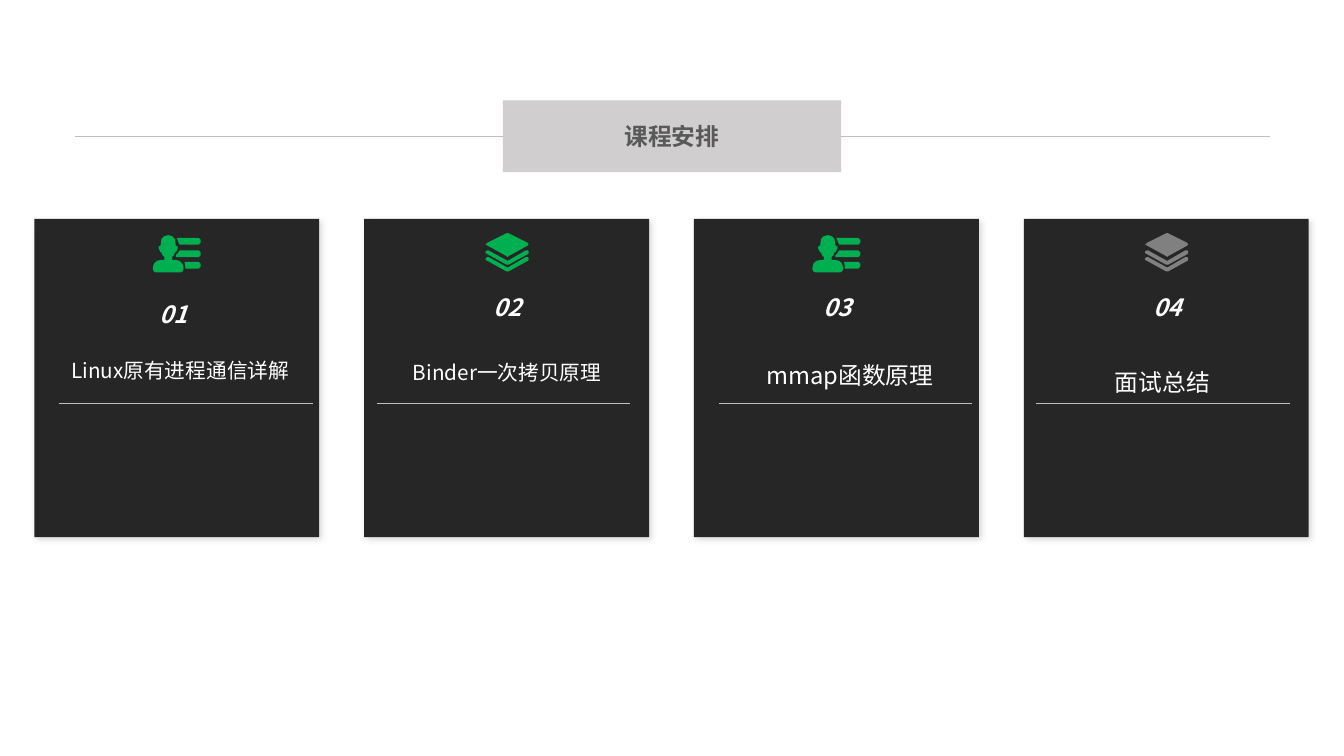
from dataclasses import dataclass

from lxml import etree
from pptx import Presentation
from pptx.dml.color import RGBColor
from pptx.enum import shapes, text
from pptx.oxml.ns import qn
from pptx.util import Inches, Pt


@dataclass(frozen=True)
class Theme:
    font: str = "Noto Sans CJK SC"
    banner: str = "D0CECE"
    heading: str = "595959"
    card: str = "262626"
    rule: str = "BFBFBF"
    white: str = "FFFFFF"
    green: str = "00B050"
    grey: str = "808080"
    large: float = 17.9
    medium: float = 15.6
    hairline: float = 0.25


THEME = Theme()
HEADING = "课程安排"

# Lessons: icon, icon colour, rule offset, number offset and top, topic, topic size, topic box
LESSONS = [
    ("person", THEME.green, 0.26, (0.43, 3.03),
     "Linux原有进程通信详解", THEME.medium, (0.49, 3.65, 2.79, 0.44)),
    ("layers", THEME.green, 0.13, (0.47, 2.96),
     "Binder一次拷贝原理", THEME.medium, (3.91, 3.67, 2.79, 0.44)),
    ("person", THEME.green, 0.26, (0.47, 2.96),
     "mmap函数原理", THEME.large, (7.3, 3.7, 3.18, 0.44)),
    ("layers", THEME.grey, 0.13, (0.47, 2.96),
     "面试总结", THEME.large, (10.57, 3.56, 3.18, 0.88)),
]
CARD_LEFT, CARD_TOP, CARD_WIDTH, CARD_HEIGHT, CARD_PITCH = 0.36, 2.29, 2.98, 3.33, 3.45
RULE_TOP, RULE_WIDTH = 4.22, 2.65


def mirrored(right_half, axis):
    """Complete an outline that is symmetric about a vertical axis."""
    return right_half + [(2 * axis - x, y) for x, y in reversed(right_half)]


def list_bar(top, left_edge):
    """Bar with a rounded right end; left_edge runs from its bottom up."""
    right_end = [(48, 0), (49.4, 0.6), (50, 2), (50, 5), (49.4, 6.4), (48, 7)]
    return [(x, top + y) for x, y in right_end] + left_edge


def chevron(top):
    half = [(22.75, 11), (42.5, 0), (44, 0.2), (45, 1.2), (45, 2.7), (44, 4),
            (24, 14.6), (22.75, 15)]
    return mirrored([(x, top + y) for x, y in half], 22.75)


# Icon outlines are in hundredths of an inch
PERSON = mirrored(
    [(16, 0), (20, 1), (23, 4.5), (24, 11), (25.5, 11.5), (26, 14), (25.3, 16.5),
     (24, 18), (23, 18.5), (22, 21), (20, 23), (20, 24), (20.5, 25.5), (22, 26),
     (24, 26), (28, 27), (31, 30), (32, 34), (32, 36), (31, 38), (29, 39)], 16)
TOP_LAYER = mirrored(
    [(22.75, 0), (24, 0.4), (44, 10), (45, 11.5), (44, 13), (24, 24), (22.75, 25)], 22.75)
ICONS = {
    "person": ((1.24, 2.46), [
        PERSON,
        list_bar(3, [(28, 10), (27, 8.5), (25, 3)]),
        list_bar(16, [(24, 23), (24, 21), (26.5, 19), (28, 16)]),
        list_bar(28, [(34, 35), (34, 33), (33, 28)]),
    ]),
    "layers": ((1.27, 2.44), [TOP_LAYER, chevron(18), chevron(25)]),
}


def paint(shape, colour):
    shape.shadow.inherit = False
    shape.fill.solid()
    shape.fill.fore_color.rgb = RGBColor.from_string(colour)
    shape.line.fill.background()


def add_panel(page, box, colour):
    panel = page.shapes.add_shape(shapes.MSO_SHAPE.RECTANGLE, *map(Inches, box))
    paint(panel, colour)
    return panel


def cast_shadow(shape):
    effects = shape._element.spPr.find(qn("a:effectLst"))
    shadow = etree.SubElement(effects, qn("a:outerShdw"), blurRad=str(Pt(5)),
                              dist=str(Pt(2)), dir=str(45 * 60000), rotWithShape="0")
    colour = etree.SubElement(shadow, qn("a:srgbClr"), val="000000")
    etree.SubElement(colour, qn("a:alpha"), val="15000")


def add_rule(page, left, top, width):
    rule = page.shapes.add_connector(
        shapes.MSO_CONNECTOR.STRAIGHT,
        *map(Inches, (left, top, left + width, top)))
    rule.line.color.rgb = RGBColor.from_string(THEME.rule)
    rule.line.width = Pt(THEME.hairline)
    etree.SubElement(rule._element.spPr, qn("a:effectLst"))


def write(shape, words, size, colour, **style):
    frame = shape.text_frame
    layout = {"word_wrap": True, "vertical_anchor": text.MSO_ANCHOR.MIDDLE,
              "margin_left": Inches(0.06), "margin_right": Inches(0.06),
              "margin_top": Inches(0.03), "margin_bottom": Inches(0.03)}
    for name, value in layout.items():
        setattr(frame, name, value)
    para = frame.paragraphs[0]
    para.alignment = text.PP_ALIGN.CENTER
    span = para.add_run()
    span.text = words
    for name, value in {"name": THEME.font, "size": Pt(size), **style}.items():
        setattr(span.font, name, value)
    span.font.color.rgb = RGBColor.from_string(colour)
    etree.SubElement(span._r.get_or_add_rPr(), qn("a:ea"), typeface=THEME.font)


def add_label(page, box, words, size, **style):
    label = page.shapes.add_textbox(*map(Inches, box))
    write(label, words, size, THEME.white, **style)


def add_icon(page, name, card_left, colour):
    (offset, top), outlines = ICONS[name]
    builder = page.shapes.build_freeform(*outlines[0][0], scale=Inches(0.01))
    for outline in outlines:
        if outline is not outlines[0]:
            builder.move_to(*outline[0])
        builder.add_line_segments(outline[1:], close=True)
    icon = builder.convert_to_shape(Inches(card_left + offset), Inches(top))
    paint(icon, colour)


def add_lesson(page, index, lesson):
    icon, colour, rule_offset, (number_offset, number_top), topic, size, topic_box = lesson
    left = CARD_LEFT + index * CARD_PITCH
    card = add_panel(page, (left, CARD_TOP, CARD_WIDTH, CARD_HEIGHT), THEME.card)
    cast_shadow(card)
    add_icon(page, icon, left, colour)
    add_rule(page, left + rule_offset, RULE_TOP, RULE_WIDTH)
    add_label(page, (left + number_offset, number_top, 2.06, 0.51),
              f"{index + 1:02d}", THEME.large, bold=True, italic=True)
    add_label(page, topic_box, topic, size)


def main():
    deck = Presentation()
    deck.slide_width, deck.slide_height = Inches(14.06), Inches(7.91)
    page = deck.slides.add_slide(deck.slide_layouts[6])
    add_rule(page, 0.78, 1.42, 12.51)
    banner = add_panel(page, (5.26, 1.05, 3.54, 0.75), THEME.banner)
    write(banner, HEADING, THEME.large, THEME.heading, bold=True)
    for index, lesson in enumerate(LESSONS):
        add_lesson(page, index, lesson)
    deck.save("out.pptx")


if __name__ == "__main__":
    main()
